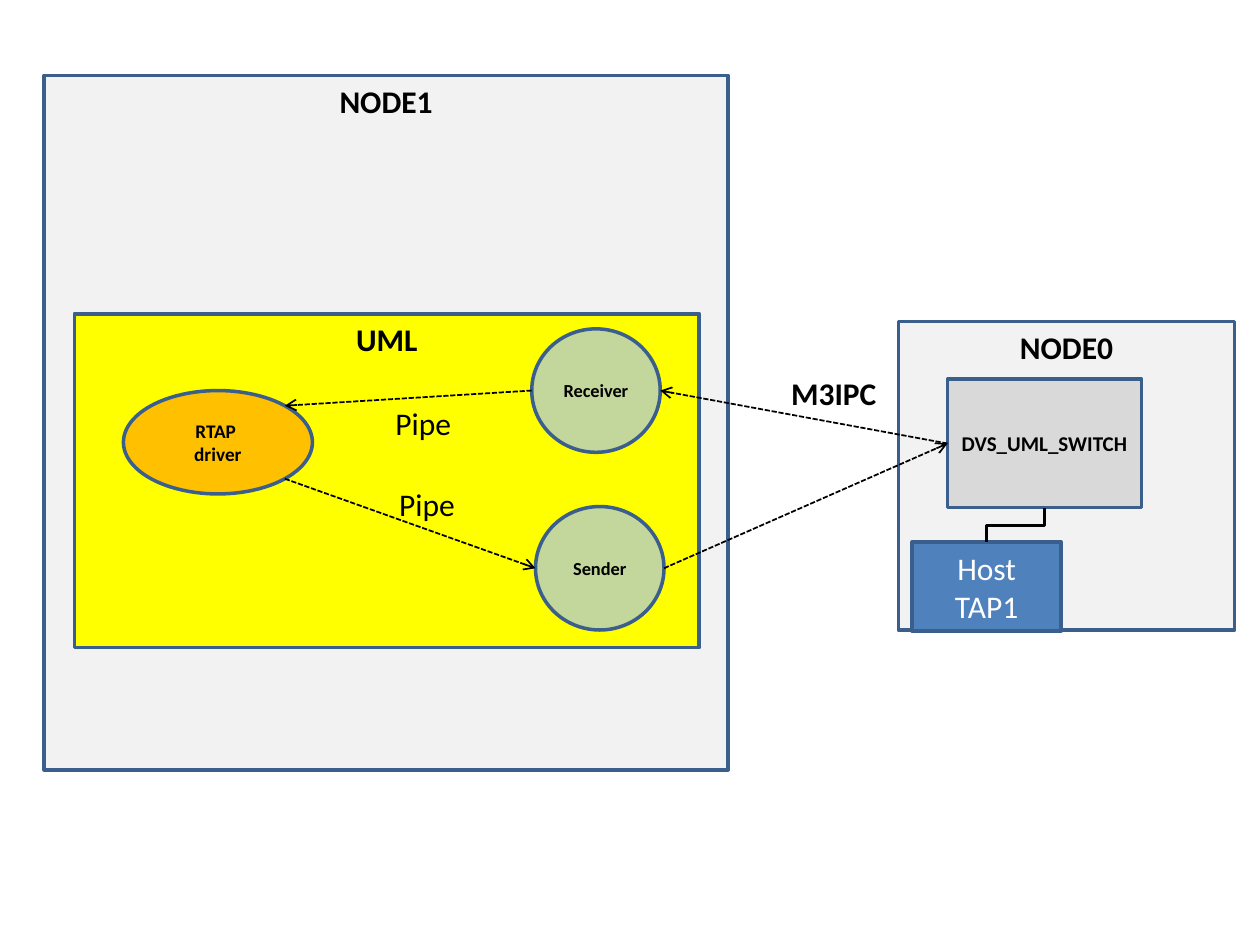
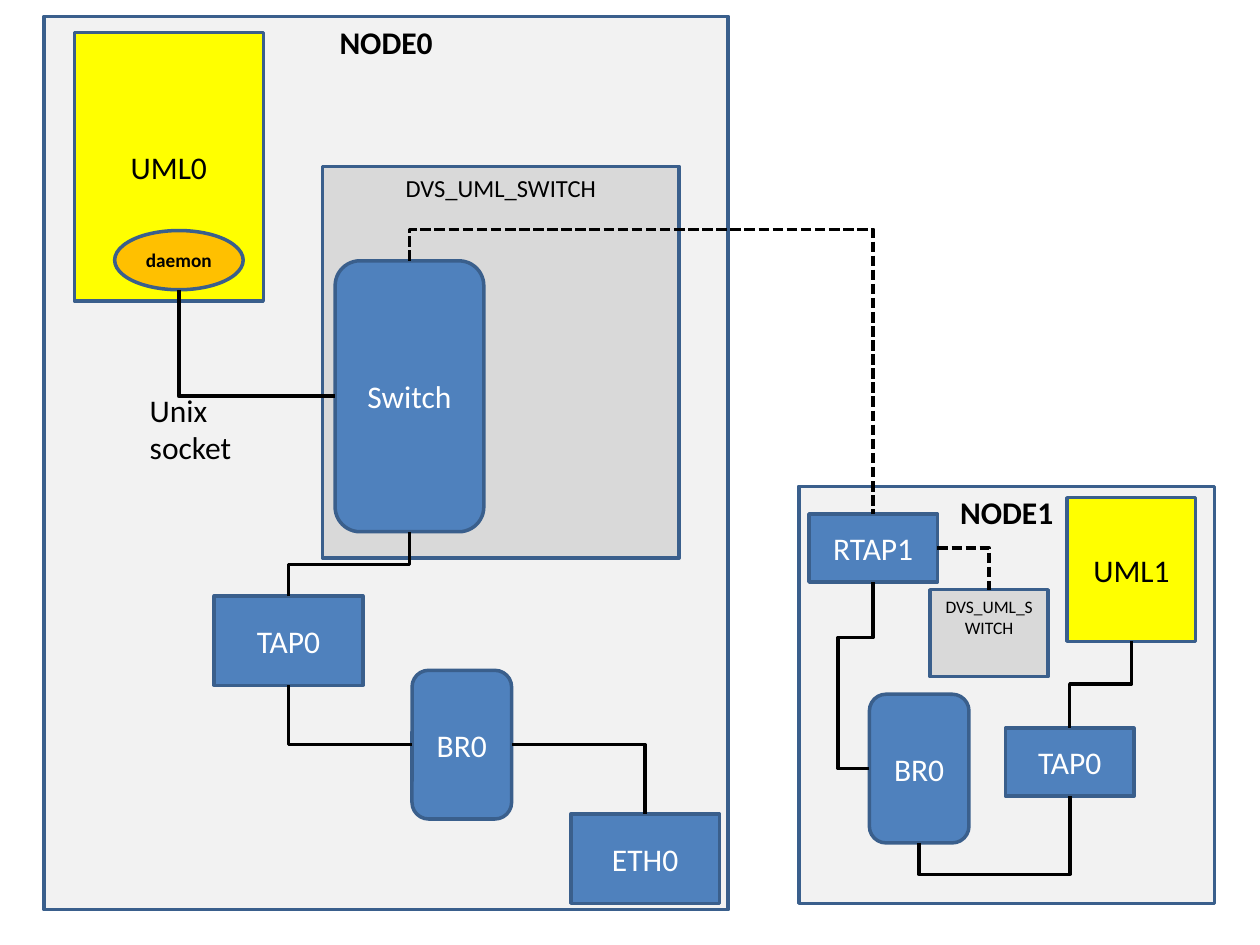
"""Build two node diagrams that show how UML hosts connect through a virtual switch."""
import dataclasses
import enum
import math
import typing

import lxml.etree
import pptx
import pptx.dml.color
import pptx.enum.dml
import pptx.enum.shapes
import pptx.enum.text
import pptx.oxml.ns
import pptx.util

Inches = pptx.util.Inches
Pt = pptx.util.Pt
qn = pptx.oxml.ns.qn
Geometry = pptx.enum.shapes.MSO_SHAPE
Anchor = pptx.enum.text.MSO_ANCHOR


@dataclasses.dataclass(frozen=True)
class Theme:
    font: str = "Calibri"
    ink: str = "000000"
    light: str = "FFFFFF"
    outline: str = "3A5F8C"
    node: str = "F2F2F2"
    uml: str = "FFFF00"
    process: str = "FFC000"
    endpoint: str = "C3D69B"
    switch: str = "D9D9D9"
    device: str = "4F81BD"
    large: float = 18
    medium: float = 14
    normal: float = 12
    small: float = 11
    caption: float = 10.5
    tiny: float = 10
    heavy_line: float = 2
    thin_line: float = 1


THEME = Theme()


@dataclasses.dataclass(frozen=True)
class Style:
    fill: str
    size: float = THEME.large
    bold: bool = False
    color: str = THEME.ink
    geometry: Geometry = Geometry.RECTANGLE
    anchor: Anchor = Anchor.MIDDLE


NODE = Style(THEME.node, bold=True, anchor=Anchor.TOP)
UML = Style(THEME.uml)
UML_FRAME = dataclasses.replace(UML, bold=True, anchor=Anchor.TOP)
PROCESS = Style(THEME.process, THEME.small, True, geometry=Geometry.OVAL)
ENDPOINT = Style(THEME.endpoint, THEME.caption, True, geometry=Geometry.OVAL)
SWITCH = Style(THEME.switch, THEME.normal, True)
SWITCH_FRAME = Style(THEME.switch, THEME.medium, anchor=Anchor.TOP)
SWITCH_SMALL = dataclasses.replace(SWITCH_FRAME, size=THEME.tiny)
DEVICE = Style(THEME.device, color=THEME.light)
BRIDGE = dataclasses.replace(DEVICE, geometry=Geometry.ROUNDED_RECTANGLE)


class Site(enum.IntEnum):
    """Connection sites in eighths of a turn, counterclockwise from the top."""
    TOP = 0
    LEFT = 2
    BOTTOM = 4
    LOWER_RIGHT = 5
    RIGHT = 6
    UPPER_RIGHT = 7


@dataclasses.dataclass(frozen=True)
class Box:
    key: str
    text: str
    style: Style
    left: float
    top: float
    width: float
    height: float

    def point(self, site: Site) -> tuple[float, float]:
        """Return the place of a connection site in inches."""
        angle = site * math.pi / 4
        return (self.left + self.width * (1 - math.sin(angle)) / 2,
                self.top + self.height * (1 - math.cos(angle)) / 2)

    def site_index(self, site: Site) -> int:
        """Return the site number that the preset geometry uses."""
        return int(site) if self.style.geometry == Geometry.OVAL else site // 2


@dataclasses.dataclass(frozen=True)
class Label:
    text: str
    left: float
    top: float
    width: float
    height: float = 0.4
    bold: bool = False


@dataclasses.dataclass(frozen=True)
class Link:
    start: str
    start_site: Site
    end: str
    end_site: Site


@dataclasses.dataclass(frozen=True)
class Elbow(Link):
    """A bent link; levels are the coordinates of its inner legs."""
    levels: tuple[float, ...] = ()
    dashed: bool = False


@dataclasses.dataclass(frozen=True)
class Diagram:
    boxes: tuple[Box, ...]
    labels: tuple[Label, ...]
    links: tuple[Link, ...]


def rgb(value: str) -> pptx.dml.color.RGBColor:
    """Return a colour from its hexadecimal form."""
    return pptx.dml.color.RGBColor.from_string(value)


def write_text(text_frame: typing.Any, text: str, size: float, bold: bool, color: str,
               alignment: pptx.enum.text.PP_ALIGN) -> None:
    """Write text and format all its runs."""
    text_frame.text = text
    for paragraph in text_frame.paragraphs:
        paragraph.alignment = alignment
        for run in paragraph.runs:
            run.font.name = THEME.font
            run.font.size = Pt(size)
            run.font.bold = bold
            run.font.color.rgb = rgb(color)


def draw_box(slide: typing.Any, box: Box) -> typing.Any:
    """Draw a filled shape with centred text."""
    style = box.style
    shape = slide.shapes.add_shape(style.geometry, Inches(box.left), Inches(box.top),
                                   Inches(box.width), Inches(box.height))
    shape.shadow.inherit = False
    shape.fill.solid()
    shape.fill.fore_color.rgb = rgb(style.fill)
    shape.line.color.rgb = rgb(THEME.outline)
    shape.line.width = Pt(THEME.heavy_line)
    shape.text_frame.vertical_anchor = style.anchor
    write_text(shape.text_frame, box.text, style.size, style.bold, style.color,
               pptx.enum.text.PP_ALIGN.CENTER)
    return shape


def draw_label(slide: typing.Any, label: Label) -> None:
    """Draw a free label that does not wrap."""
    shape = slide.shapes.add_textbox(Inches(label.left), Inches(label.top),
                                     Inches(label.width), Inches(label.height))
    shape.text_frame.word_wrap = False
    shape.text_frame.auto_size = pptx.enum.text.MSO_AUTO_SIZE.SHAPE_TO_FIT_TEXT
    write_text(shape.text_frame, label.text, THEME.large, label.bold, THEME.ink,
               pptx.enum.text.PP_ALIGN.LEFT)


def bend(connector: typing.Any, elbow: Elbow, start: tuple[float, float],
         end: tuple[float, float]) -> None:
    """Turn, flip and adjust an elbow so that its legs lie on the given levels."""
    vertical = elbow.start_site in (Site.TOP, Site.BOTTOM)
    across, down = end[0] - start[0], end[1] - start[1]
    width, height = (down, -across) if vertical else (across, down)
    flip_h, flip_v = width < 0, height < 0
    rotation = 90 if vertical else 0
    if flip_h != flip_v if vertical else flip_h:
        rotation, flip_h, flip_v = rotation + 180, not flip_h, not flip_v
    connector.left = Inches((start[0] + end[0] - abs(width)) / 2)
    connector.top = Inches((start[1] + end[1] - abs(height)) / 2)
    connector.width, connector.height = Inches(abs(width)), Inches(abs(height))
    properties = connector.element.spPr
    transform = properties.find(qn("a:xfrm"))
    transform.set("rot", str(rotation * 60000))
    transform.set("flipH", str(int(flip_h)))
    transform.set("flipV", str(int(flip_v)))
    geometry = properties.find(qn("a:prstGeom"))
    geometry.set("prst", f"bentConnector{len(elbow.levels) + 2}")
    adjustments = geometry.find(qn("a:avLst"))
    for number, level in enumerate(elbow.levels, 1):
        axis = (number + vertical + 1) % 2
        share = (level - start[axis]) / (end[axis] - start[axis])
        lxml.etree.SubElement(adjustments, qn("a:gd"), name=f"adj{number}",
                              fmla=f"val {round(share * 100000)}")


def draw_link(slide: typing.Any, link: Link, boxes: dict[str, Box],
              shapes: dict[str, typing.Any]) -> None:
    """Draw a glued connector: an arrow, or an elbow without heads."""
    is_elbow = isinstance(link, Elbow)
    kinds = pptx.enum.shapes.MSO_CONNECTOR
    start = boxes[link.start].point(link.start_site)
    end = boxes[link.end].point(link.end_site)
    connector = slide.shapes.add_connector(kinds.ELBOW if is_elbow else kinds.STRAIGHT,
                                           *map(Inches, start + end))
    connector.line.color.rgb = rgb(THEME.ink)
    connector.line.width = Pt(THEME.heavy_line if is_elbow else THEME.thin_line)
    if not is_elbow or link.dashed:
        connector.line.dash_style = pptx.enum.dml.MSO_LINE.SQUARE_DOT
    if is_elbow:
        bend(connector, link, start, end)
    else:
        line = connector.element.spPr.find(qn("a:ln"))
        lxml.etree.SubElement(line, qn("a:tailEnd"), type="arrow")
    lxml.etree.SubElement(connector.element.spPr, qn("a:effectLst"))
    glue = connector.element.find(".//" + qn("p:cNvCxnSpPr"))
    for tag, key, site in (("a:stCxn", link.start, link.start_site),
                           ("a:endCxn", link.end, link.end_site)):
        lxml.etree.SubElement(glue, qn(tag), id=str(shapes[key].shape_id),
                              idx=str(boxes[key].site_index(site)))


def draw_diagram(presentation: typing.Any, diagram: Diagram) -> None:
    """Add a blank slide and draw a diagram on it."""
    slide = presentation.slides.add_slide(presentation.slide_layouts[6])
    boxes = {box.key: box for box in diagram.boxes}
    shapes = {key: draw_box(slide, box) for key, box in boxes.items()}
    for link in diagram.links:
        draw_link(slide, link, boxes, shapes)
    for label in diagram.labels:
        draw_label(slide, label)


PIPES = Diagram(
    boxes=(
        Box("node1", "NODE1", NODE, 0.35, 0.6, 5.43, 5.51),
        Box("uml", "UML", UML_FRAME, 0.59, 2.49, 4.96, 2.65),
        Box("driver", "RTAP \ndriver", PROCESS, 0.98, 3.1, 1.5, 0.82),
        Box("receiver", "Receiver", ENDPOINT, 4.22, 2.61, 1.02, 0.98),
        Box("sender", "Sender", ENDPOINT, 4.25, 4.02, 1.02, 0.98),
        Box("node0", "NODE0", NODE, 7.13, 2.55, 2.67, 2.45),
        Box("switch", "DVS_UML_SWITCH", SWITCH, 7.52, 3.01, 1.54, 1.02),
        Box("host", "Host\nTAP1", DEVICE, 7.24, 4.3, 1.18, 0.71),
    ),
    labels=(
        Label("Pipe", 3.07, 3.8, 0.65),
        Label("Pipe", 3.04, 3.16, 0.65),
        Label("M3IPC", 6.18, 2.92, 0.89, bold=True),
    ),
    links=(
        Link("driver", Site.LOWER_RIGHT, "sender", Site.LEFT),
        Link("receiver", Site.LEFT, "driver", Site.UPPER_RIGHT),
        Link("sender", Site.RIGHT, "switch", Site.LEFT),
        Link("switch", Site.LEFT, "receiver", Site.RIGHT),
        Elbow("host", Site.TOP, "switch", Site.BOTTOM, (4.17,)),
    ),
)

BRIDGES = Diagram(
    boxes=(
        Box("node1", "NODE1", NODE, 6.34, 3.86, 3.3, 3.31),
        Box("node0", "NODE0", NODE, 0.35, 0.13, 5.43, 7.09),
        Box("uml0", "UML0", UML, 0.59, 0.26, 1.5, 2.13),
        Box("daemon", "daemon", PROCESS, 0.91, 1.83, 1.02, 0.47),
        Box("frame0", "DVS_UML_SWITCH", SWITCH_FRAME, 2.56, 1.32, 2.83, 3.11),
        Box("tap0", "TAP0", DEVICE, 1.7, 4.73, 1.18, 0.71),
        Box("switch", "Switch", BRIDGE, 2.66, 2.07, 1.18, 2.15),
        Box("rtap1", "RTAP1", DEVICE, 6.42, 4.08, 1.02, 0.54),
        Box("bridge0", "BR0", BRIDGE, 3.27, 5.32, 0.79, 1.18),
        Box("eth0", "ETH0", DEVICE, 4.53, 6.46, 1.18, 0.71),
        Box("uml1", "UML1", UML, 8.47, 3.95, 1.02, 1.14),
        Box("bridge1", "BR0", BRIDGE, 6.9, 5.51, 0.79, 1.18),
        Box("tap1", "TAP0", DEVICE, 7.98, 5.78, 1.02, 0.54),
        Box("frame1", "DVS_UML_SWITCH", SWITCH_SMALL, 7.38, 4.68, 0.94, 0.69),
    ),
    labels=(Label("Unix\nsocket", 1.09, 3.05, 0.86, 0.71),),
    links=(
        Elbow("daemon", Site.BOTTOM, "switch", Site.LEFT),
        Elbow("tap0", Site.TOP, "switch", Site.BOTTOM, (4.48,)),
        Elbow("switch", Site.TOP, "rtap1", Site.TOP, (1.82,), dashed=True),
        Elbow("bridge0", Site.LEFT, "tap0", Site.BOTTOM),
        Elbow("eth0", Site.TOP, "bridge0", Site.RIGHT),
        Elbow("rtap1", Site.BOTTOM, "bridge1", Site.LEFT, (5.06, 6.65)),
        Elbow("tap1", Site.BOTTOM, "bridge1", Site.BOTTOM, (6.94,)),
        Elbow("uml1", Site.BOTTOM, "tap1", Site.TOP, (5.43,)),
        Elbow("rtap1", Site.RIGHT, "frame1", Site.TOP, dashed=True),
    ),
)

presentation = pptx.Presentation()
presentation.slide_width, presentation.slide_height = Inches(10), Inches(7.5)
for diagram in (PIPES, BRIDGES):
    draw_diagram(presentation, diagram)
presentation.save("out.pptx")
